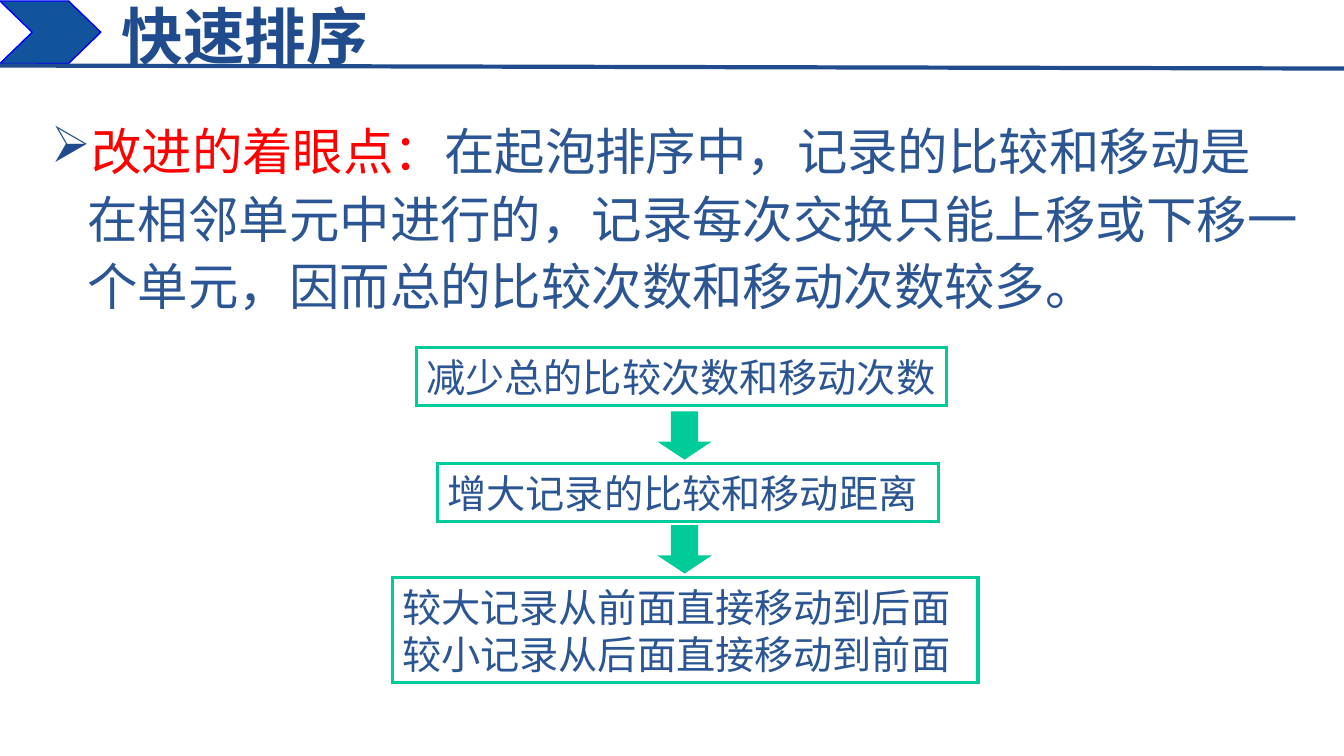
from lxml import etree
from pptx import Presentation
from pptx.dml.color import RGBColor
from pptx.enum.shapes import MSO_CONNECTOR, MSO_SHAPE
from pptx.enum.text import MSO_ANCHOR, MSO_AUTO_SIZE, PP_ALIGN
from pptx.oxml.ns import qn
from pptx.util import Inches, Pt

CHEVRON, RECTANGLE, DOWN_ARROW = MSO_SHAPE.CHEVRON, MSO_SHAPE.RECTANGLE, MSO_SHAPE.DOWN_ARROW
STRAIGHT = MSO_CONNECTOR.STRAIGHT
MIDDLE = MSO_ANCHOR.MIDDLE
TOP = MSO_ANCHOR.TOP
FIT = MSO_AUTO_SIZE.SHAPE_TO_FIT_TEXT
LEFT, JUSTIFY = PP_ALIGN.LEFT, PP_ALIGN.JUSTIFY

NAVY = RGBColor(0x20, 0x4C, 0x8D)
TEXT_BLUE = RGBColor(0x2B, 0x55, 0x93)
CHEVRON_BLUE = RGBColor(0x11, 0x54, 0x9B)
OUTLINE_BLUE = RGBColor(0x00, 0x00, 0xFF)
RED = RGBColor(0xFF, 0x00, 0x00)
GREEN = RGBColor(0x00, 0xCC, 0x99)
SERIF, SANS = "Times New Roman", "Noto Sans CJK SC"

deck = Presentation()
deck.slide_width, deck.slide_height = Inches(13.33), Inches(7.5)
slide = deck.slides.add_slide(deck.slide_layouts[6])
shapes = slide.shapes


def add_text(paragraph, text, size, color, font=SERIF, bold=False, align=LEFT, spacing=None):
    paragraph.alignment = align
    if spacing:
        paragraph.line_spacing = Pt(spacing)
    run = paragraph.add_run()
    run.text = text
    run.font.size, run.font.bold, run.font.name = Pt(size), bold, font
    run.font.color.rgb = color
    etree.SubElement(run._r.get_or_add_rPr(), qn("a:ea"), typeface=SANS)


def add_figure(kind, left, top, width, height):
    figure = shapes.add_shape(kind, Inches(left), Inches(top), Inches(width), Inches(height))
    figure.shadow.inherit = False
    return figure


title_chevron = add_figure(CHEVRON, 0, 0.01, 1, 0.62)
title_chevron.adjustments[0] = 0.516
title_chevron.fill.solid()
title_chevron.fill.fore_color.rgb = CHEVRON_BLUE
title_chevron.line.color.rgb = OUTLINE_BLUE
title_chevron.line.width = Pt(1)

title_rule = shapes.add_connector(STRAIGHT, 0, Inches(0.65), deck.slide_width, Inches(0.68))
title_rule.line.color.rgb = NAVY
title_rule.line.width = Pt(3)
etree.SubElement(title_rule._element.spPr, qn("a:effectLst"))

title = shapes.add_textbox(Inches(1.11), Inches(0.06), Inches(11.86), Inches(0.57)).text_frame
title.word_wrap = True
title.vertical_anchor = MIDDLE
add_text(title.paragraphs[0], "快速排序", 44, NAVY, bold=True, align=JUSTIFY)

motivation = shapes.add_textbox(Inches(0.39), Inches(1.08), Inches(12.6), Inches(2.1)).text_frame
motivation.word_wrap = True
point = motivation.paragraphs[0]
point_format = point._p.get_or_add_pPr()
point_format.set("marL", str(Inches(0.38)))
point_format.set("indent", str(-Inches(0.36)))
bullet_color = etree.SubElement(point_format, qn("a:buClr"))
etree.SubElement(bullet_color, qn("a:srgbClr"), val=str(NAVY))
etree.SubElement(point_format, qn("a:buChar"), char="➢")
add_text(point, "改进的着眼点：", 36, RED, spacing=48)
add_text(point, "在起泡排序中，记录的比较和移动是在相邻单元中进行的，"
         "记录每次交换只能上移或下移一个单元，因而总的比较次数和移动次数较多。",
         36, TEXT_BLUE, spacing=48)

STEPS = [
    (4.13, 3.45, 5.26, 0.57, False, ["减少总的比较次数和移动次数"]),
    (4.34, 4.6, 4.97, 0.57, True, ["增大记录的比较和移动距离"]),
    (3.89, 5.73, 5.81, 1.04, True, ["较大记录从前面直接移动到后面", "较小记录从后面直接移动到前面"]),
]
for left, top, width, height, wraps, sentences in STEPS:
    step = add_figure(RECTANGLE, left, top, width, height)
    step.fill.background()
    step.line.color.rgb = GREEN
    step.line.width = Pt(2.25)
    etree.SubElement(step.line._get_or_add_ln(), qn("a:miter"), lim="800000")
    frame = step.text_frame
    frame.word_wrap = wraps
    frame.auto_size = FIT
    frame.vertical_anchor = TOP
    for index, sentence in enumerate(sentences):
        paragraph = frame.add_paragraph() if index else frame.paragraphs[0]
        add_text(paragraph, sentence, 28, TEXT_BLUE, font=SANS, spacing=34)

for left, top, *rest in STEPS[1:]:
    step_arrow = add_figure(DOWN_ARROW, 6.52, top - 0.52, 0.54, 0.48)
    step_arrow.adjustments[0] = 0.5
    step_arrow.adjustments[1] = 0.374
    step_arrow.fill.solid()
    step_arrow.fill.fore_color.rgb = GREEN
    step_arrow.line.fill.background()

deck.save("out.pptx")
